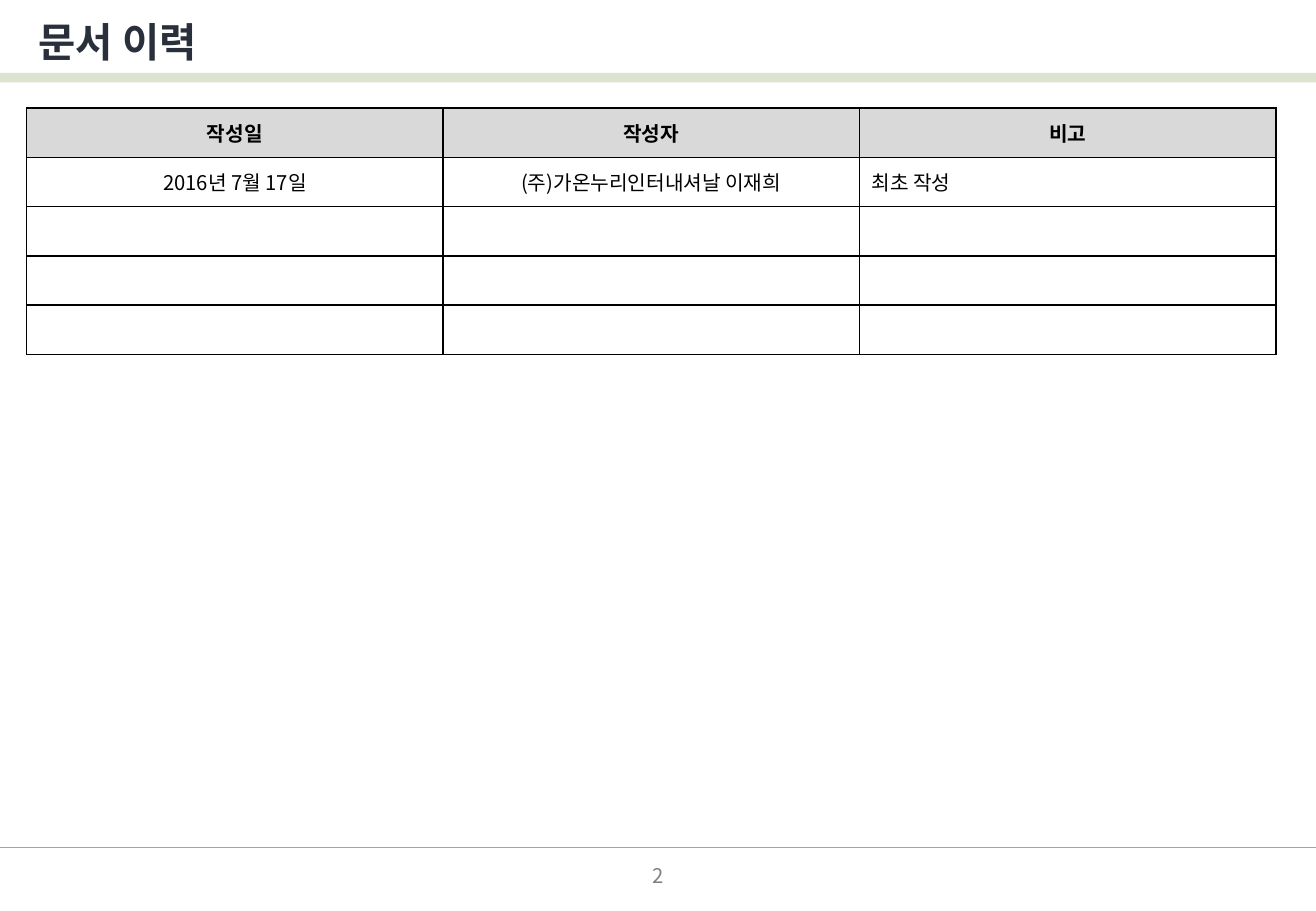
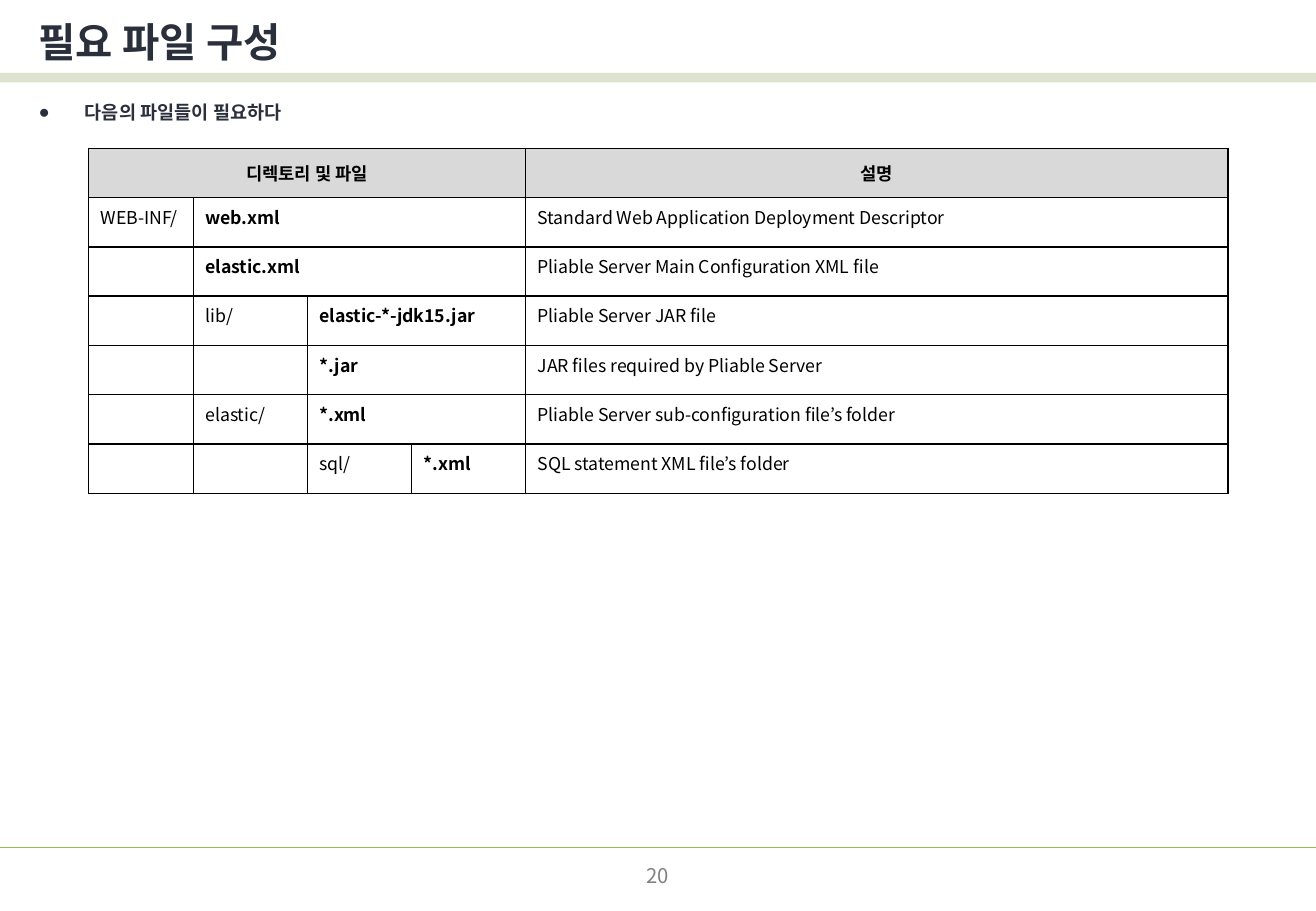
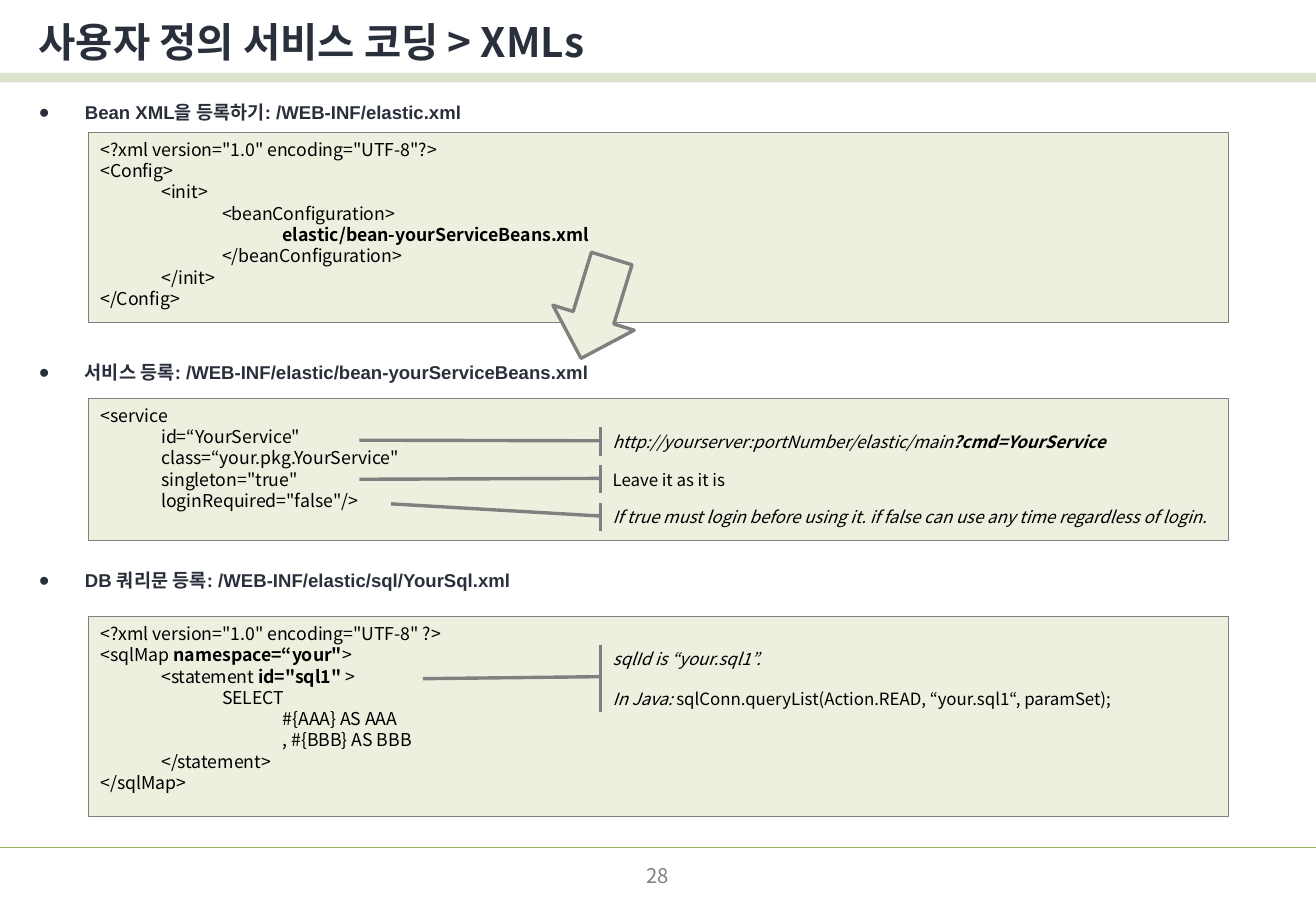
"""Builds three slides of a server framework guide: history, files and XML coding."""
from lxml import etree
from pptx import Presentation
from pptx.dml.color import RGBColor
from pptx.enum.shapes import MSO_CONNECTOR, MSO_SHAPE
from pptx.enum.text import MSO_ANCHOR, PP_ALIGN
from pptx.oxml.ns import qn
from pptx.util import Pt

LEFT, CENTER = PP_ALIGN.LEFT, PP_ALIGN.CENTER
TOP, MIDDLE = MSO_ANCHOR.TOP, MSO_ANCHOR.MIDDLE
STRAIGHT = MSO_CONNECTOR.STRAIGHT
RECTANGLE, DOWN_ARROW = MSO_SHAPE.RECTANGLE, MSO_SHAPE.DOWN_ARROW
CALLOUT = MSO_SHAPE.LINE_CALLOUT_1_ACCENT_BAR

BLACK = RGBColor(0x00, 0x00, 0x00)
INK = RGBColor(0x29, 0x30, 0x3B)
GRAY = RGBColor(0x80, 0x80, 0x80)
HEADER_GRAY = RGBColor(0xD9, 0xD9, 0xD9)
BAND_GREEN = RGBColor(0x77, 0x93, 0x3C)
RULE_GREEN = RGBColor(0x98, 0xB9, 0x55)
PALE_GREEN = RGBColor(0xEB, 0xF1, 0xDE)

SANS, ARIAL = "Noto Sans CJK KR", "Arial"
WIDTH, HEIGHT = 780, 540
MARGIN = 15.84
ROW_HEIGHT = 29.2
LINE_RATIO = 1.2
BOX_LEFT, BOX_WIDTH = 52.5, 675.4
NOTE_LEFT, NOTE_WIDTH = 356.1, 376.6

HISTORY = [
    ("작성일", "작성자", "비고"),
    ("2016년 7월 17일", "(주)가온누리인터내셔날 이재희", "최초 작성"),
    ("", "", ""),
    ("", "", ""),
    ("", "", ""),
]
HISTORY_ALIGN = (CENTER, CENTER, LEFT)

FILE_COLUMNS = (62.1, 67.6, 61.8, 67.6, 416.3)
FILES = [
    (["디렉토리 및 파일"], "설명"),
    (["WEB-INF/", "web.xml"], "Standard Web Application Deployment Descriptor"),
    (["", "elastic.xml"], "Pliable Server Main Configuration XML file"),
    (["", "lib/", "elastic-*-jdk15.jar"], "Pliable Server JAR file"),
    (["", "", "*.jar"], "JAR files required by Pliable Server"),
    (["", "elastic/", "*.xml"], "Pliable Server sub-configuration file’s folder"),
    (["", "", "sql/", "*.xml"], "SQL statement XML file’s folder"),
]

FIRST_BULLET_TOP = 56.2
XML_BULLETS = [
    (FIRST_BULLET_TOP, "Bean XML을 등록하기: /WEB-INF/elastic.xml"),
    (210.3, "서비스 등록: /WEB-INF/elastic/bean-yourServiceBeans.xml"),
    (333.6, "DB 쿼리문 등록: /WEB-INF/elastic/sql/YourSql.xml"),
]
CODE_BOXES = [
    (78.6, 112.5, [
        '<?xml version="1.0" encoding="UTF-8"?>',
        "<Config>",
        "\t<init>",
        "\t\t<beanConfiguration>",
        [("\t\t\t", ""), ("elastic/bean-yourServiceBeans.xml", "b")],
        "\t\t</beanConfiguration>",
        "\t</init>",
        "</Config>",
    ]),
    (236.2, 84.2, [
        "<service",
        '\tid=“YourService"',
        '\tclass=“your.pkg.YourService"',
        '\tsingleton="true"',
        '\tloginRequired="false"/>',
    ]),
    (365.6, 118.4, [
        '<?xml version="1.0" encoding="UTF-8" ?>',
        [("<sqlMap ", ""), ('namespace=“your"', "b"), (">", "")],
        [("\t<statement ", ""), ('id="sql1"', "b"), (" >", "")],
        "\t\tSELECT",
        "\t\t\t#{AAA} AS AAA",
        "\t\t\t, #{BBB} AS BBB",
        "\t</statement>",
        "</sqlMap>",
    ]),
]
NOTES = [
    (253.4, 16.8, (0.45, -0.38), [
        [("http://yourserver:portNumber/elastic/main", "i"), ("?cmd=YourService", "bi")]]),
    (275.7, 16.8, (0.5, -0.38), ["Leave it as it is"]),
    (298, 16.8, (0.04, -0.33), [
        [("If true must login before using it. if false can use any time "
          "regardless of login.", "i")]]),
    (382.5, 39.6, (0.5, -0.28), [
        [("sqlId is “your.sql1”.", "i")],
        [("In Java: ", "i"),
         ("sqlConn.queryList(Action.READ, “your.sql1“, paramSet);", "")]]),
]


def set_font(paragraph, size, color=BLACK, bold=False, name=SANS):
    """Set the paragraph font, with the Korean typeface for East Asian text."""
    font = paragraph.font
    font.size, font.bold, font.name = Pt(size), bold, name
    font.color.rgb = color
    properties = paragraph._p.get_or_add_pPr().find(qn("a:defRPr"))
    etree.SubElement(properties, qn("a:ea"), typeface=SANS)


def add_label(slide, box, text, size, color, bold=False, align=LEFT):
    """Add a one-line text box centred vertically."""
    label = slide.shapes.add_textbox(*map(Pt, box))
    frame = label.text_frame
    frame.word_wrap = True
    frame.vertical_anchor = MIDDLE
    paragraph = frame.paragraphs[0]
    paragraph.text = text
    paragraph.alignment = align
    set_font(paragraph, size, color, bold)


def add_bullet(slide, top, text):
    """Add one bulleted heading line."""
    frame = slide.shapes.add_textbox(Pt(MARGIN), Pt(top), Pt(WIDTH - MARGIN), Pt(21)).text_frame
    frame.word_wrap = True
    paragraph = frame.paragraphs[0]
    paragraph.text = text
    paragraph.line_spacing = Pt(11 * LINE_RATIO)
    properties = paragraph._p.get_or_add_pPr()
    properties.set("marL", str(Pt(27.4)))
    properties.set("indent", str(-Pt(27.4)))
    etree.SubElement(properties, qn("a:buFont"), typeface=ARIAL)
    etree.SubElement(properties, qn("a:buChar"), char="●")
    set_font(paragraph, 11, INK, True, ARIAL)


def add_outlined(slide, kind, box, line_width, fill=None):
    """Add a shape with a gray outline and an optional fill."""
    shape = slide.shapes.add_shape(kind, *map(Pt, box))
    shape.shadow.inherit = False
    if fill is None:
        shape.fill.background()
    else:
        shape.fill.solid()
        shape.fill.fore_color.rgb = fill
    shape.line.color.rgb = GRAY
    shape.line.width = Pt(line_width)
    return shape


def write_lines(shape, lines, size, anchor, gap=0):
    """Write lines, each a string or a list of (text, style) runs."""
    frame = shape.text_frame
    frame.word_wrap = True
    frame.vertical_anchor = anchor
    for index, line in enumerate(lines):
        paragraph = frame.add_paragraph() if index else frame.paragraphs[0]
        paragraph.alignment = LEFT
        paragraph.line_spacing = Pt(size * LINE_RATIO)
        if index and gap:
            paragraph.space_before = Pt(gap)
        set_font(paragraph, size)
        runs = [(line, "")] if isinstance(line, str) else line
        for text, style in runs:
            run = paragraph.add_run()
            run.text = text
            font = paragraph.font if len(runs) == 1 else run.font
            font.bold = "b" in style
            font.italic = "i" in style


def add_grid(slide, left, top, widths, row_count):
    """Add a plain table with the given column widths."""
    table = slide.shapes.add_table(row_count, len(widths), Pt(left), Pt(top),
                                   Pt(sum(widths)), Pt(ROW_HEIGHT * row_count)).table
    for column, width in zip(table.columns, widths):
        column.width = Pt(width)
    for row in table.rows:
        row.height = Pt(ROW_HEIGHT)
    return table


def fill_cell(cell, text, size, header, bold=False, align=LEFT, anchor=MIDDLE):
    """Write a table cell with black borders; header cells are gray and bold."""
    properties = cell._tc.get_or_add_tcPr()
    for side in ("a:lnL", "a:lnR", "a:lnT", "a:lnB"):
        border = etree.SubElement(properties, qn(side), w=str(Pt(1)))
        solid = etree.SubElement(border, qn("a:solidFill"))
        etree.SubElement(solid, qn("a:srgbClr"), val=str(BLACK))
    if header:
        cell.fill.solid()
        cell.fill.fore_color.rgb = HEADER_GRAY
    else:
        cell.fill.background()
    cell.vertical_anchor = MIDDLE if header else anchor
    paragraph = cell.text_frame.paragraphs[0]
    paragraph.text = text
    paragraph.alignment = CENTER if header else align
    set_font(paragraph, size, bold=header or bold)


def start_slide(presentation, title, number):
    """Add a slide with the shared rule, band, title and page number."""
    slide = presentation.slides.add_slide(presentation.slide_layouts[6])
    rule = slide.shapes.add_connector(STRAIGHT, 0, Pt(502.5), Pt(WIDTH), Pt(502.5))
    rule.line.color.rgb = RULE_GREEN
    rule.line.width = Pt(0.75)
    etree.SubElement(rule._element.spPr, qn("a:effectLst"))
    band = slide.shapes.add_shape(RECTANGLE, 0, Pt(43.2), Pt(WIDTH), Pt(5.7))
    band.shadow.inherit = False
    band.fill.solid()
    band.fill.fore_color.rgb = BAND_GREEN
    band.line.fill.background()
    color = band._element.spPr.find(qn("a:solidFill"))[0]
    etree.SubElement(color, qn("a:alpha"), val="25000")
    add_label(slide, (MARGIN, 5.8, WIDTH - MARGIN, 37.4), title, 24, INK, True)
    add_label(slide, (299, 508.3, 182, 20.9), str(number), 12, GRAY, align=CENTER)
    return slide


def build_history(presentation):
    """Build the document history slide."""
    slide = start_slide(presentation, "문서 이력", 2)
    table = add_grid(slide, MARGIN, 64.1, [246.8] * 3, len(HISTORY))
    for row, texts in enumerate(HISTORY):
        for column, text in enumerate(texts):
            fill_cell(table.cell(row, column), text, 12, row == 0,
                      align=HISTORY_ALIGN[column])


def build_files(presentation):
    """Build the required files slide."""
    slide = start_slide(presentation, "필요 파일 구성", 20)
    add_bullet(slide, FIRST_BULLET_TOP, "다음의 파일들이 필요하다")
    table = add_grid(slide, BOX_LEFT, 88, FILE_COLUMNS, len(FILES))
    last = len(FILE_COLUMNS) - 1
    for row, (names, description) in enumerate(FILES):
        name_column = len(names) - 1
        texts = names + [""] * (last - len(names)) + [description]
        for column, text in enumerate(texts):
            fill_cell(table.cell(row, column), text, 10.5, row == 0,
                      bold=column == name_column, anchor=TOP)
        if name_column < last - 1:
            table.cell(row, name_column).merge(table.cell(row, last - 1))


def build_coding(presentation):
    """Build the XML coding slide."""
    slide = start_slide(presentation, "사용자 정의 서비스 코딩 > XMLs", 28)
    for top, text in XML_BULLETS:
        add_bullet(slide, top, text)
    for top, height, lines in CODE_BOXES:
        box = add_outlined(slide, RECTANGLE, (BOX_LEFT, top, BOX_WIDTH, height), 0.5, PALE_GREEN)
        write_lines(box, lines, 10.5, TOP)
    arrow = add_outlined(slide, DOWN_ARROW, (328.3, 151.9, 50.4, 61.9), 2, PALE_GREEN)
    arrow.rotation = 17.1
    for top, height, target, lines in NOTES:
        note = add_outlined(slide, CALLOUT, (NOTE_LEFT, top, NOTE_WIDTH, height), 2)
        for index, value in enumerate((0.47, 0, *target)):
            note.adjustments[index] = value
        write_lines(note, lines, 10, MIDDLE, gap=12)


def main():
    """Build and save the presentation."""
    presentation = Presentation()
    presentation.slide_width, presentation.slide_height = Pt(WIDTH), Pt(HEIGHT)
    build_history(presentation)
    build_files(presentation)
    build_coding(presentation)
    presentation.save("out.pptx")


if __name__ == "__main__":
    main()
